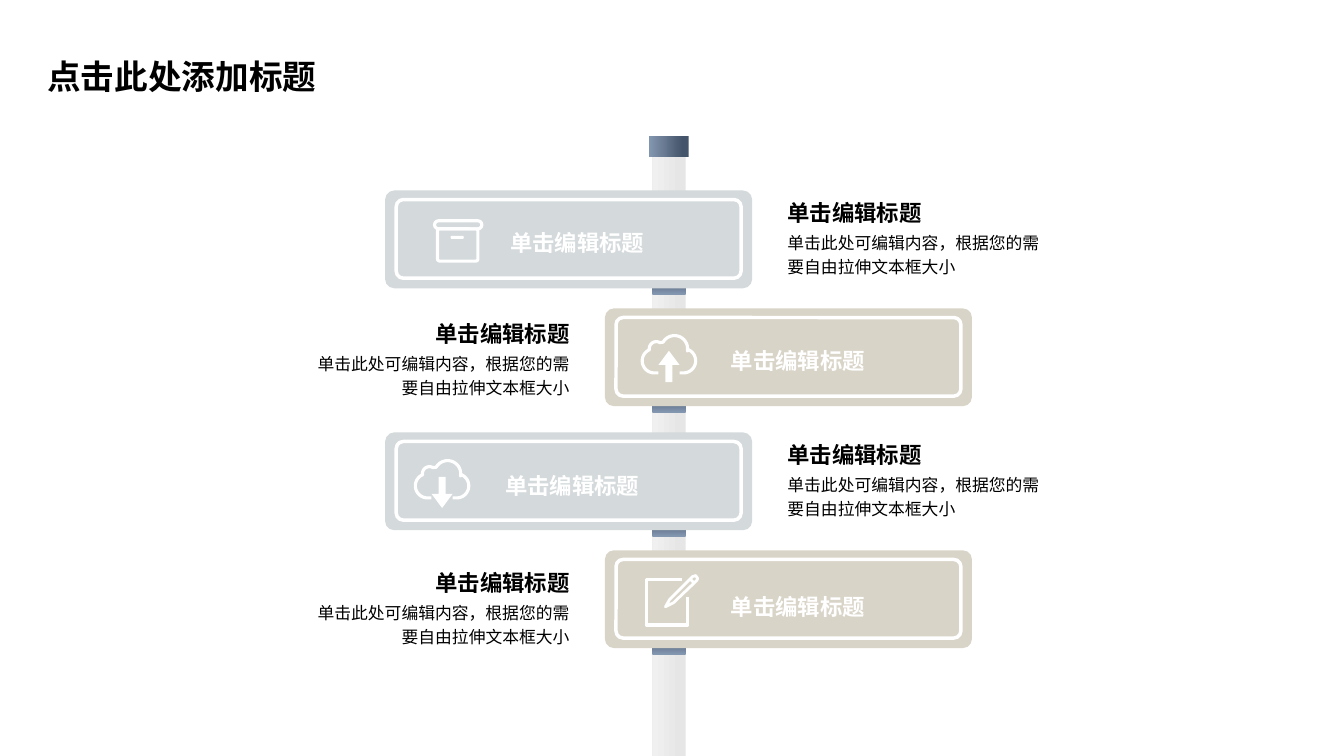
import math
import pptx
import pptx.util
import pptx.dml.color
import pptx.enum.shapes
import pptx.enum.text

KIND = pptx.enum.shapes.MSO_SHAPE
ALIGN = pptx.enum.text.PP_ALIGN
ANCHOR = pptx.enum.text.MSO_ANCHOR
SCALE = 9144
WHITE, BLACK = "FFFFFF", "000000"
GRAY, SAND = "D4D9DB", "D9D4C8"
NAVY, STEEL = "44546A", "8497B0"
HEAD = "单击编辑标题"
BODY = "单击此处可编辑内容，根据您的需要自由拉伸文本框大小"


def px(num):
    return round(num * SCALE)


def color(code):
    return pptx.dml.color.RGBColor.from_string(code)


def write(frame, text, size=16, bold=False, ink=BLACK, font="Arial",
          align=ALIGN.LEFT, lines=1.2, inset=0, anchor=ANCHOR.TOP):
    frame.word_wrap = True
    frame.auto_size = pptx.enum.text.MSO_AUTO_SIZE.NONE
    frame.vertical_anchor = anchor
    frame.margin_left = frame.margin_right = px(inset)
    frame.margin_top = frame.margin_bottom = px(inset / 2)
    para = frame.paragraphs[0]
    para.alignment, para.line_spacing = align, lines
    run = para.add_run()
    run.text = text
    run.font.size, run.font.bold = pptx.util.Pt(size), bold
    run.font.name, run.font.color.rgb = font, color(ink)
    east = pptx.oxml.parse_xml(
        '<a:ea xmlns:a="http://schemas.openxmlformats.org/drawingml/2006/main"'
        ' typeface="Noto Sans CJK SC"/>')
    run.font._element.find(pptx.oxml.ns.qn("a:latin")).addnext(east)


class Sign:
    def __init__(self, deck):
        self.slide = deck.slides.add_slide(deck.slide_layouts[5])
        self.shapes = self.slide.shapes

    def title(self, text, x, y, w, h):
        box = self.shapes.title
        box.left, box.top, box.width, box.height = map(px, (x, y, w, h))
        write(box.text_frame, text, size=24, bold=True, lines=1, inset=10,
              font="Noto Sans CJK SC", anchor=ANCHOR.MIDDLE)

    def text(self, text, x, y, w, h, **form):
        box = self.shapes.add_textbox(*map(px, (x, y, w, h)))
        write(box.text_frame, text, **form)

    def paint(self, shape, fill=None, line=None, width=2.25):
        shape.shadow.inherit = False
        if fill:
            shape.fill.solid()
            shape.fill.fore_color.rgb = color(fill)
        else:
            shape.fill.background()
        if line:
            shape.line.color.rgb = color(line)
            shape.line.width = pptx.util.Pt(width)
        else:
            shape.line.fill.background()

    def shape(self, kind, x, y, w, h, adjust=(), **look):
        shape = self.shapes.add_shape(kind, *map(px, (x, y, w, h)))
        for i, part in enumerate(adjust):
            shape.adjustments[i] = part
        self.paint(shape, **look)
        return shape

    def round(self, x, y, w, h, curve, **look):
        self.shape(KIND.ROUNDED_RECTANGLE, x, y, w, h,
                   [curve / min(w, h)], **look)

    def blend(self, x, y, w, h, stops, angle):
        shape = self.shape(KIND.RECTANGLE, x, y, w, h)
        shape.fill.gradient()
        shape.fill.gradient_angle = angle
        for stop, (place, code) in zip(shape.fill.gradient_stops, stops):
            stop.position = place
            stop.color.rgb = color(code)

    def form(self, x, y, points, close=True, **look):
        spots = [(px(x + a), px(y + b)) for a, b in points]
        pen = self.shapes.build_freeform(*spots[0], scale=1.0)
        pen.add_line_segments(spots[1:], close=close)
        self.paint(pen.convert_to_shape(), **look)

    def box(self, x, y):
        self.round(x + 2, y + 2, 47, 8, 4, line=WHITE)
        self.round(x + 5, y + 10, 40, 32, 2, line=WHITE)
        self.round(x + 18, y + 17, 13, 3, 1, fill=WHITE)

    def cloud(self, x, y, kind, drop):
        lobes = [(13, 27, 12, 90, 245), (15, 15, 7, 170, 300),
                 (33, 15, 13, 210, 370), (42, 27, 12, 295, 450)]
        arc = [(a + r * math.cos(math.radians(t)),
                b + r * math.sin(math.radians(t)))
               for a, b, r, start, end in lobes
               for t in range(start, end + 1, 5)]
        self.form(x, y, [(17, 39)] + arc + [(38, 39)],
                  close=False, line=WHITE)
        self.shape(kind, x + 17, y + drop, 21, 31, [0.33, 0.67], fill=WHITE)

    def rise(self, x, y):
        self.cloud(x, y, KIND.UP_ARROW, 17)

    def fall(self, x, y):
        self.cloud(x, y, KIND.DOWN_ARROW, 18)

    def note(self, x, y):
        self.form(x, y, [(37, 6), (2, 6), (2, 51), (43, 51), (43, 23)],
                  close=False, line=WHITE)
        self.form(x, y, [(21, 33), (25, 26), (48, 3), (51, 2), (53, 5),
                         (52, 7), (29, 29)], line=WHITE, width=2)
        self.form(x, y, [(48, 10), (44, 6), (46, 4), (50, 8)], fill=WHITE)

    def board(self, x, y, fill, icon, spot, label, drop):
        self.blend(647, y + 72, 33, 31, [(0.46, NAVY), (1, STEEL)], 270)
        self.round(x, y, 364, 97, 9, fill=fill)
        self.round(x + 11, y + 9, 342, 78, 7, line=WHITE, width=2.5)
        icon(x + spot[0], y + spot[1])
        self.text(HEAD, x + label[0], y + label[1], 151, 30, bold=True,
                  ink=WHITE, align=ALIGN.CENTER)
        left = x > 500
        side = ALIGN.RIGHT if left else ALIGN.LEFT
        self.text(HEAD, 423 if left else 781, y + drop, 142, 32,
                  bold=True, align=side)
        self.text(BODY, 310 if left else 781, y + drop + 35, 255, 48,
                  size=12, align=side)


def main():
    deck = pptx.Presentation()
    deck.slide_width, deck.slide_height = px(1333), px(750)
    sign = Sign(deck)
    sign.title("点击此处添加标题", 37, 50, 301, 50)
    sign.blend(647, 147, 33, 603, [(0.15, "E7E6E6"), (1, "F1F0F0")], 180)
    sign.blend(644, 135, 39, 21, [(0.15, NAVY), (1, STEEL)], 180)
    boards = [
        (382, 189, GRAY, sign.box, (47, 28), (115, 33), 3),
        (600, 306, SAND, sign.rise, (36, 25), (116, 33), 6),
        (382, 429, GRAY, sign.fall, (29, 26), (110, 34), 3),
        (600, 546, SAND, sign.note, (39, 23), (116, 37), 13),
    ]
    for board in boards:
        sign.board(*board)
    deck.save("out.pptx")


if __name__ == "__main__":
    main()
